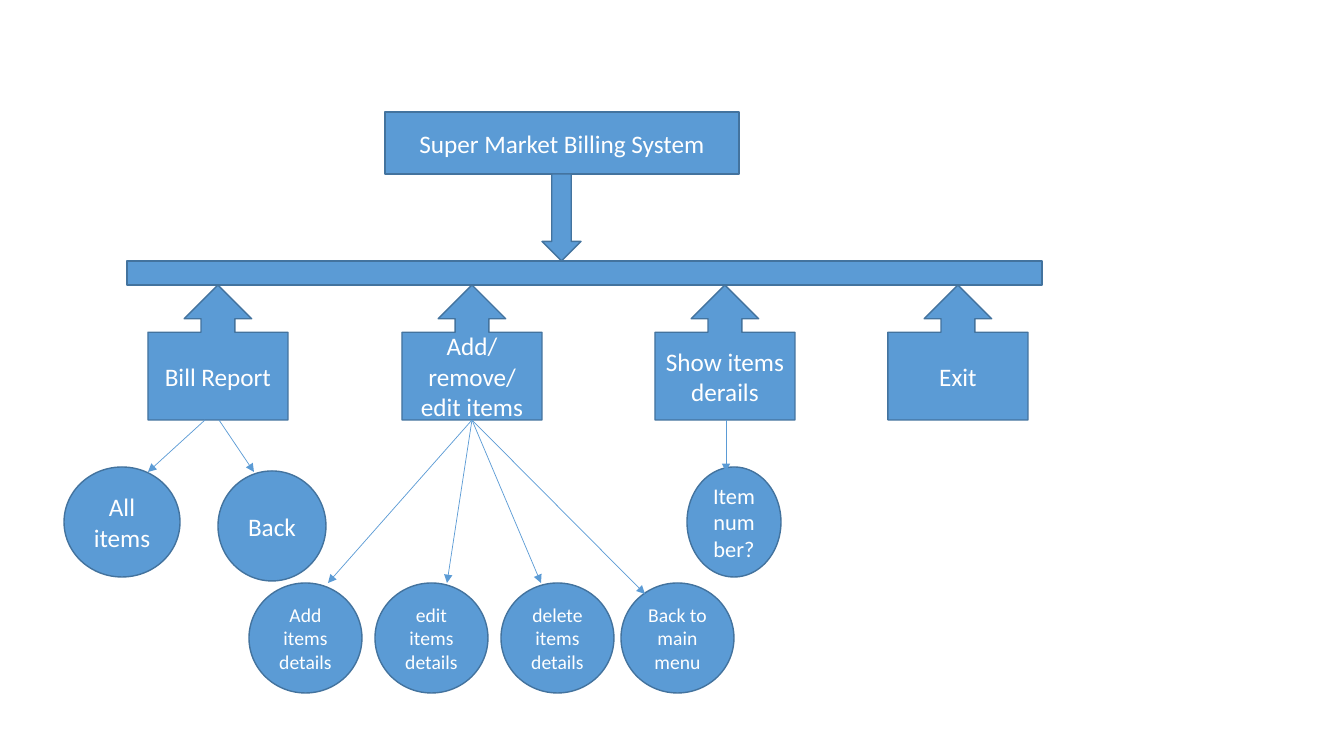
"""Builds the function chart of a super market billing system."""
from lxml.etree import SubElement
from pptx import Presentation
from pptx.dml.color import RGBColor
from pptx.enum.shapes import MSO_CONNECTOR, MSO_SHAPE
from pptx.enum.text import MSO_ANCHOR, PP_ALIGN
from pptx.oxml.ns import qn
from pptx.util import Emu, Pt

SCALE = 914400 / 100.8
COLORS = {"fill": "5B9BD5", "outline": "43739E", "text": "FFFFFF"}
FONT = "Calibri"

MODULE_TOP, MODULE_W, MODULE_H = 285, 140, 135
MODULE_BOTTOM = MODULE_TOP + MODULE_H
MODULES = [
    (148, "Bill Report"),
    (402, "Add/remove/edit items"),
    (655, "Show items derails"),
    (888, "Exit"),
]
ACTIONS = [
    (64, 467, 116, "All items", 18),
    (218, 471, 108, "Back", 18),
    (687, 467, 94, "Item number?", 16),
    (249, 583, 113, "Add items details", 14),
    (375, 583, 113, "edit items details", 14),
    (501, 583, 113, "delete items details", 14),
    (621, 583, 113, "Back to main menu", 14),
]
ACTION_H = 110
ARROWS = [
    (205, 148, 472),
    (219, 254, 472),
    (472, 328, 583),
    (472, 447, 583),
    (472, 541, 583),
    (472, 645, 594),
    (726, 726, 472),
]


def px(value):
    return Emu(round(value * SCALE))


def color(name):
    return RGBColor.from_string(COLORS[name])


def add_block(slide, kind, box, text="", size=18):
    sp = slide.shapes.add_shape(kind, *map(px, box))
    sp.shadow.inherit = False
    sp.fill.solid()
    sp.fill.fore_color.rgb = color("fill")
    sp.line.color.rgb = color("outline")
    sp.line.width = Pt(1)
    if text:
        tf = sp.text_frame
        tf.text = text
        tf.word_wrap = True
        tf.vertical_anchor = MSO_ANCHOR.MIDDLE
        p = tf.paragraphs[0]
        p.alignment = PP_ALIGN.CENTER
        r = p.runs[0]
        r.font.name = FONT
        r.font.size = Pt(size)
        r.font.color.rgb = color("text")
    return sp


def add_arrow(slide, x1, y1, x2, y2):
    cxn = slide.shapes.add_connector(
        MSO_CONNECTOR.STRAIGHT, px(x1), px(y1), px(x2), px(y2))
    cxn.line.color.rgb = color("fill")
    cxn.line.width = Pt(0.5)
    SubElement(cxn.line._get_or_add_ln(), qn("a:tailEnd"), type="triangle")
    SubElement(cxn._element.spPr, qn("a:effectLst"))
    return cxn


def main():
    prs = Presentation()
    prs.slide_width, prs.slide_height = px(1344), px(756)
    slide = prs.slides.add_slide(prs.slide_layouts[6])

    add_block(slide, MSO_SHAPE.RECTANGLE, (385, 112, 354, 62),
              "Super Market Billing System")
    add_block(slide, MSO_SHAPE.DOWN_ARROW, (542, 174, 39, 87))
    add_block(slide, MSO_SHAPE.RECTANGLE, (127, 261, 915, 24))
    for x, text in MODULES:
        add_block(slide, MSO_SHAPE.UP_ARROW_CALLOUT,
                  (x, MODULE_TOP, MODULE_W, MODULE_H), text)
    for x, y, width, text, size in ACTIONS:
        add_block(slide, MSO_SHAPE.OVAL, (x, y, width, ACTION_H), text, size)
    for x1, x2, y2 in ARROWS:
        add_arrow(slide, x1, MODULE_BOTTOM, x2, y2)

    prs.save("out.pptx")


main()
